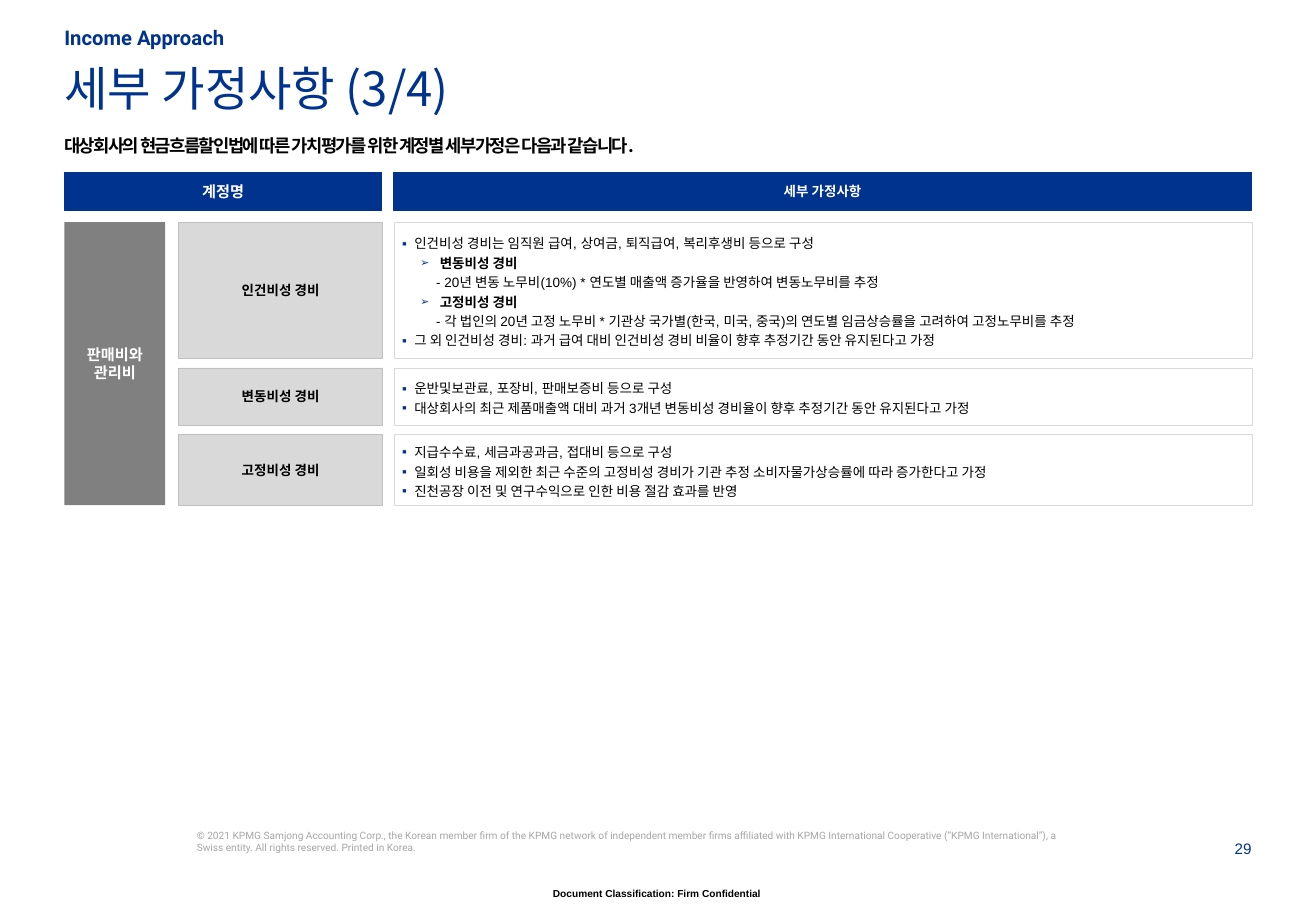
from dataclasses import dataclass

from lxml.etree import SubElement
from pptx import Presentation
from pptx.dml.color import RGBColor
from pptx.enum.shapes import MSO_SHAPE
from pptx.enum.text import MSO_ANCHOR as ANCHOR, PP_ALIGN as ALIGN
from pptx.oxml.ns import qn
from pptx.util import Inches, Pt


@dataclass(frozen=True)
class Theme:
    """Colours, fonts and type sizes of the slide."""
    navy: str = "00338D"
    grey: str = "808080"
    label: str = "D9D9D9"
    edge: str = "BFBFBF"
    faint: str = "A6A6A6"
    black: str = "000000"
    white: str = "FFFFFF"
    body: str = "Arial"
    brand: str = "Roboto"
    korean: str = "Noto Sans CJK KR"
    title: float = 28
    kicker: float = 12
    lead: float = 10.5
    head: float = 9
    text: float = 8
    small: float = 6


T = Theme()
BULLETS = {"item": ("▪", 0.1, -0.1, 100), "sub": ("➢", 0.31, -0.16, 80),
           "note": (None, 0.28, 0, 100)}
ACCOUNTS = [
    ("인건비성 경비", 1.12, [
        ("item", "인건비성 경비는 임직원 급여, 상여금, 퇴직급여, 복리후생비 등으로 구성"),
        ("sub", "변동비성 경비"),
        ("note", "- 20년 변동 노무비(10%) * 연도별 매출액 증가율을 반영하여 변동노무비를 추정"),
        ("sub", "고정비성 경비"),
        ("note", "- 각 법인의 20년 고정 노무비 * 기관상 국가별(한국, 미국, 중국)의 "
                 "연도별 임금상승률을 고려하여 고정노무비를 추정"),
        ("item", "그 외 인건비성 경비: 과거 급여 대비 인건비성 경비 비율이 "
                 "향후 추정기간 동안 유지된다고 가정")]),
    ("변동비성 경비", 0.47, [
        ("item", "운반및보관료, 포장비, 판매보증비 등으로 구성"),
        ("item", "대상회사의 최근 제품매출액 대비 과거 3개년 변동비성 경비율이 "
                 "향후 추정기간 동안 유지된다고 가정")]),
    ("고정비성 경비", 0.58, [
        ("item", "지급수수료, 세금과공과금, 접대비 등으로 구성"),
        ("item", "일회성 비용을 제외한 최근 수준의 고정비성 경비가 기관 추정 "
                 "소비자물가상승률에 따라 증가한다고 가정"),
        ("item", "진천공장 이전 및 연구수익으로 인한 비용 절감 효과를 반영")]),
]


def style(p, size, color, bold=False, font=T.body, align=ALIGN.LEFT, spacing=None):
    """Format a paragraph and its runs."""
    p.alignment = align
    for r in p.runs:
        r.font.size, r.font.bold, r.font.name = Pt(size), bold, font
        r.font.color.rgb = RGBColor.from_string(color)
        rPr = r.font._element
        SubElement(rPr, qn("a:ea"), typeface=T.korean)
        if spacing:
            rPr.set("spc", str(spacing))


def set_frame(tf, insets, anchor):
    """Set wrapping, anchor and the insets in left, top, right, bottom order."""
    tf.word_wrap, tf.vertical_anchor = True, anchor
    tf.margin_left, tf.margin_top, tf.margin_right, tf.margin_bottom = map(Inches, insets)


def add_text(s, box, text, size, color, anchor=ANCHOR.TOP, **look):
    """Add a text box without insets."""
    tf = s.shapes.add_textbox(*map(Inches, box)).text_frame
    set_frame(tf, (0, 0, 0, 0), anchor)
    tf.text = text
    style(tf.paragraphs[0], size, color, **look)


def add_panel(s, box, fill, line=None, insets=(0.06,) * 4):
    """Add a filled rectangle and return its text frame."""
    sp = s.shapes.add_shape(MSO_SHAPE.RECTANGLE, *map(Inches, box))
    sp.shadow.inherit = False
    sp.fill.solid()
    sp.fill.fore_color.rgb = RGBColor.from_string(fill)
    if line:
        sp.line.color.rgb = RGBColor.from_string(line)
        sp.line.width = Pt(0.5)
    else:
        sp.line.fill.background()
    set_frame(sp.text_frame, insets, ANCHOR.MIDDLE)
    return sp.text_frame


def add_label(s, box, text, size, color, fill, line=None, inset=0.06):
    """Add a rectangle with centred bold text."""
    tf = add_panel(s, box, fill, line, (inset,) * 4)
    tf.text = text
    for p in tf.paragraphs:
        style(p, size, color, bold=True, align=ALIGN.CENTER)


def set_bullet(p, kind):
    """Set the indent and bullet of an assumption line."""
    char, left, indent, percent = BULLETS[kind]
    pPr = p._p.get_or_add_pPr()
    pPr.set("marL", str(Inches(left)))
    pPr.set("indent", str(Inches(indent)))
    if char:
        SubElement(SubElement(pPr, qn("a:buClr")), qn("a:srgbClr"), val=T.navy)
        SubElement(pPr, qn("a:buSzPct"), val=str(percent * 1000))
        SubElement(pPr, qn("a:buFont"), typeface=T.body)
        SubElement(pPr, qn("a:buChar"), char=char)


def add_details(s, box, lines):
    """Add the bordered box that lists the assumptions of one account."""
    tf = add_panel(s, box, T.white, T.label, (0.06, 0.1, 0.08, 0.1))
    tf.text = "\n".join(text for _, text in lines)
    for p, (kind, _) in zip(tf.paragraphs, lines):
        set_bullet(p, kind)
        p.line_spacing = 1.2
        style(p, T.text, T.black, bold=kind == "sub")


def add_heading(s, x, y, w):
    """Add the section name, the title and the lead sentence."""
    add_text(s, (x, y, 4.76, 0.19), "Income Approach", T.kicker, T.navy,
             ANCHOR.BOTTOM, bold=True, font=T.brand)
    add_text(s, (x, y + 0.27, w, 0.79), "세부 가정사항 (3/4)", T.title, T.navy, font=T.korean)
    add_text(s, (x, y + 0.89, w, 0.44),
             "대상회사의 현금흐름할인법에 따른 가치평가를 위한 계정별 세부가정은 다음과 같습니다.",
             T.lead, T.black, bold=True, font=T.korean, spacing=-90)


def add_assumptions(s, x, y, w):
    """Add the column heads, the group label and one row per account."""
    gap, label_x, detail_x = 0.08, x + 0.94, x + 2.72
    detail_w = w - 2.7
    add_label(s, (x, y, 2.61, 0.31), "계정명", T.head, T.white, T.navy, T.navy)
    add_label(s, (x + 2.71, y, detail_w, 0.31), "세부 가정사항", T.text, T.white, T.navy, T.navy)
    top = y + 0.41
    total = sum(h for _, h, _ in ACCOUNTS) + gap * (len(ACCOUNTS) - 1)
    add_label(s, (x, top, 0.83, total), "판매비와\n관리비", T.head, T.white, T.grey)
    for name, h, lines in ACCOUNTS:
        add_label(s, (label_x, top, 1.68, h), name, T.text, T.black, T.label, T.edge, 0.04)
        add_details(s, (detail_x, top, detail_w, h), lines)
        top += h + gap


def add_footer(s, x, y):
    """Add the copyright line, the page number and the classification."""
    add_text(s, (x, y, 7.2, 0.28),
             "© 2021 KPMG Samjong Accounting Corp., the Korean member firm of the KPMG network "
             "of independent member firms affiliated with KPMG International Cooperative "
             "(“KPMG International”), a Swiss entity. All rights reserved. Printed in Korea.",
             T.small, T.faint, font=T.brand)
    add_text(s, (x + 8.25, y + 0.08, 0.43, 0.16), "29", T.head, T.navy, align=ALIGN.RIGHT)
    add_text(s, (x + 2.65, y + 0.48, 2.27, 0.13), "Document Classification: Firm Confidential",
             T.small, T.black, bold=True, align=ALIGN.CENTER)


def main():
    """Build and save the slide."""
    prs = Presentation()
    prs.slide_width, prs.slide_height = Inches(10.83), Inches(7.5)
    s = prs.slides.add_slide(prs.slide_layouts[6])
    add_heading(s, 0.53, 0.22, 9.76)
    add_assumptions(s, 0.53, 1.42, 9.76)
    add_footer(s, 1.62, 6.83)
    prs.save("out.pptx")


if __name__ == "__main__":
    main()
